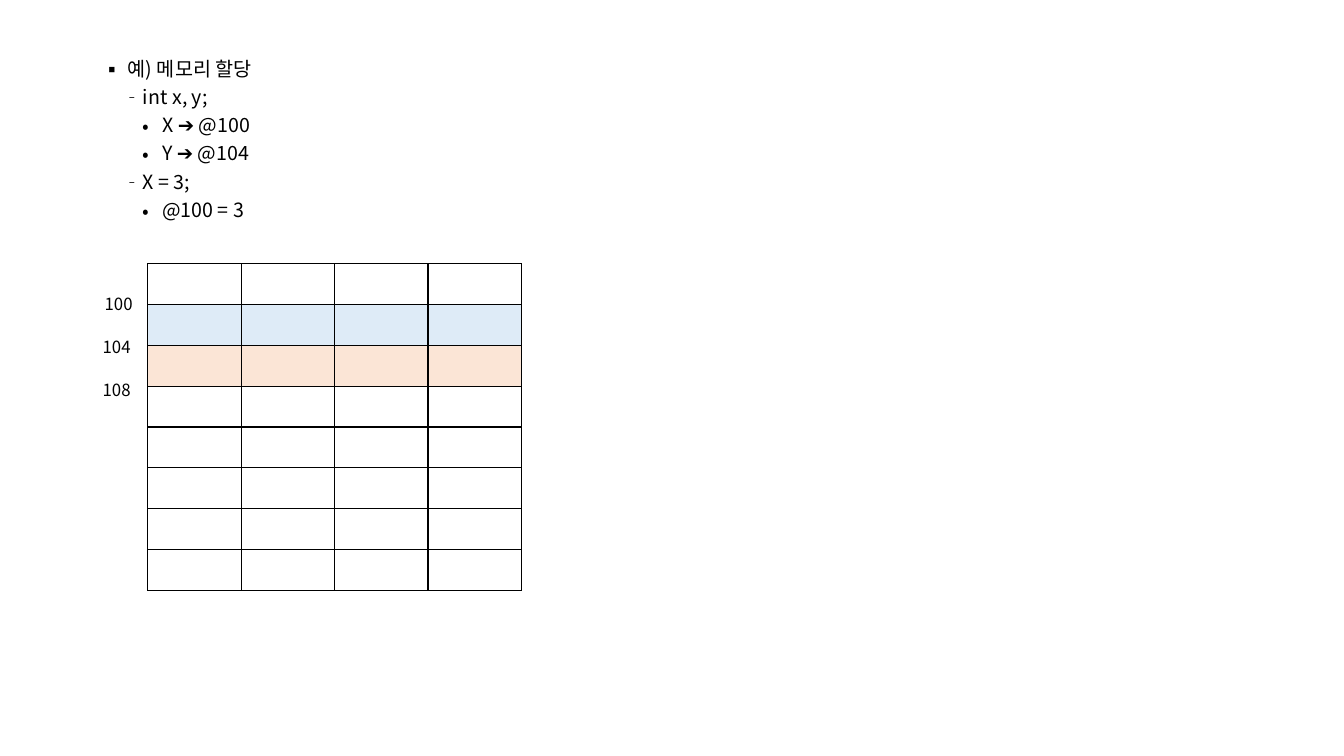
from pptx import Presentation, util as u
from pptx.dml.color import RGBColor
from pptx.enum import text
from pptx.oxml import parse_xml
from pptx.oxml.ns import nsdecls, qn

BLACK = RGBColor(0x00, 0x00, 0x00)
BLUE = RGBColor(0xDE, 0xEB, 0xF7)
PEACH = RGBColor(0xFB, 0xE5, 0xD6)
FONT = "Noto Sans CJK KR"
WIDTH, HEIGHT = u.Inches(13.33), u.Inches(7.5)
LEVELS = [("▪", 0.25, 0.25), ("‐", 0.4, 0.2), ("•", 0.59, 0.19)]
OUTLINE = [
    (0, "예) 메모리 할당"),
    (1, "int x, y;"),
    (2, "X ➔ @100"),
    (2, "Y ➔ @104"),
    (1, "X = 3;"),
    (2, "@100 = 3"),
]


def write(p, content, size=14, color=BLACK, font=FONT):
    """Add a formatted run to a paragraph."""
    r = p.add_run()
    r.text = content
    r.font.size, r.font.name, r.font.color.rgb = u.Pt(size), font, color
    ea = parse_xml(f'<a:ea {nsdecls("a")} typeface="{font}"/>')
    r.font._element.find(qn("a:latin")).addnext(ea)


class Page:
    """Hold the style and the current slide; place elements by shares of its size."""

    def __init__(self, prs):
        self.s = prs.slides.add_slide(prs.slide_layouts[6])

    def box(self, x, y, w, h):
        """Turn shares of the slide into lengths."""
        return int(x * WIDTH), int(y * HEIGHT), int(w * WIDTH), int(h * HEIGHT)

    def outline(self, items, *area):
        """Add a bulleted outline of (level, text) items."""
        tf = self.s.shapes.add_textbox(*self.box(*area)).text_frame
        tf.word_wrap = True
        for i, (level, content) in enumerate(items):
            p = tf.paragraphs[0] if i == 0 else tf.add_paragraph()
            p.level, p.line_spacing = level, 0.9
            p.space_before = u.Pt(5 if level else 10)
            bullet, left, hang = LEVELS[level]
            pPr = p._p.get_or_add_pPr()
            pPr.set("marL", str(u.Inches(left)))
            pPr.set("indent", str(-u.Inches(hang)))
            pPr.append(parse_xml(f'<a:buFont {nsdecls("a")} typeface="{FONT}"/>'))
            pPr.append(parse_xml(f'<a:buChar {nsdecls("a")} char="{bullet}"/>'))
            write(p, content)

    def label(self, content, *area):
        """Add a short unwrapped label."""
        tf = self.s.shapes.add_textbox(*self.box(*area)).text_frame
        tf.word_wrap = False
        tf.auto_size = text.MSO_AUTO_SIZE.SHAPE_TO_FIT_TEXT
        write(tf.paragraphs[0], content, size=12)

    def grid(self, rows, cols, fills, *area):
        """Add an empty ruled table whose rows may be filled."""
        table = self.s.shapes.add_table(rows, cols, *self.box(*area)).table
        table.first_row = table.horz_banding = False
        for i, row in enumerate(table.rows):
            for cell in row.cells:
                if i in fills:
                    cell.fill.solid()
                    cell.fill.fore_color.rgb = fills[i]
                else:
                    cell.fill.background()
                self.rule(cell)
                cell.text_frame.paragraphs[0]._p.append(parse_xml(
                    f'<a:endParaRPr {nsdecls("a")} sz="1800">'
                    f'<a:latin typeface="{FONT}"/><a:ea typeface="{FONT}"/></a:endParaRPr>'))

    def rule(self, cell, color=BLACK, width=1):
        """Draw the four borders of a cell."""
        for i, side in enumerate("LRTB"):
            cell._tc.get_or_add_tcPr().insert(i, parse_xml(
                f'<a:ln{side} {nsdecls("a")} w="{u.Pt(width)}"><a:solidFill>'
                f'<a:srgbClr val="{color}"/></a:solidFill></a:ln{side}>'))


prs = Presentation()
prs.slide_width, prs.slide_height = WIDTH, HEIGHT
page = Page(prs)
page.outline(OUTLINE, 0.069, 0.072, 0.402, 0.829)
page.grid(8, 4, {1: BLUE, 2: PEACH}, 0.11, 0.349, 0.278, 0.432)
for i, address in enumerate(("100", "104", "108")):
    page.label(address, 0.069 if i else 0.0705, 0.3825 + i * 0.0567, 0.036, 0.04)
prs.save("out.pptx")
